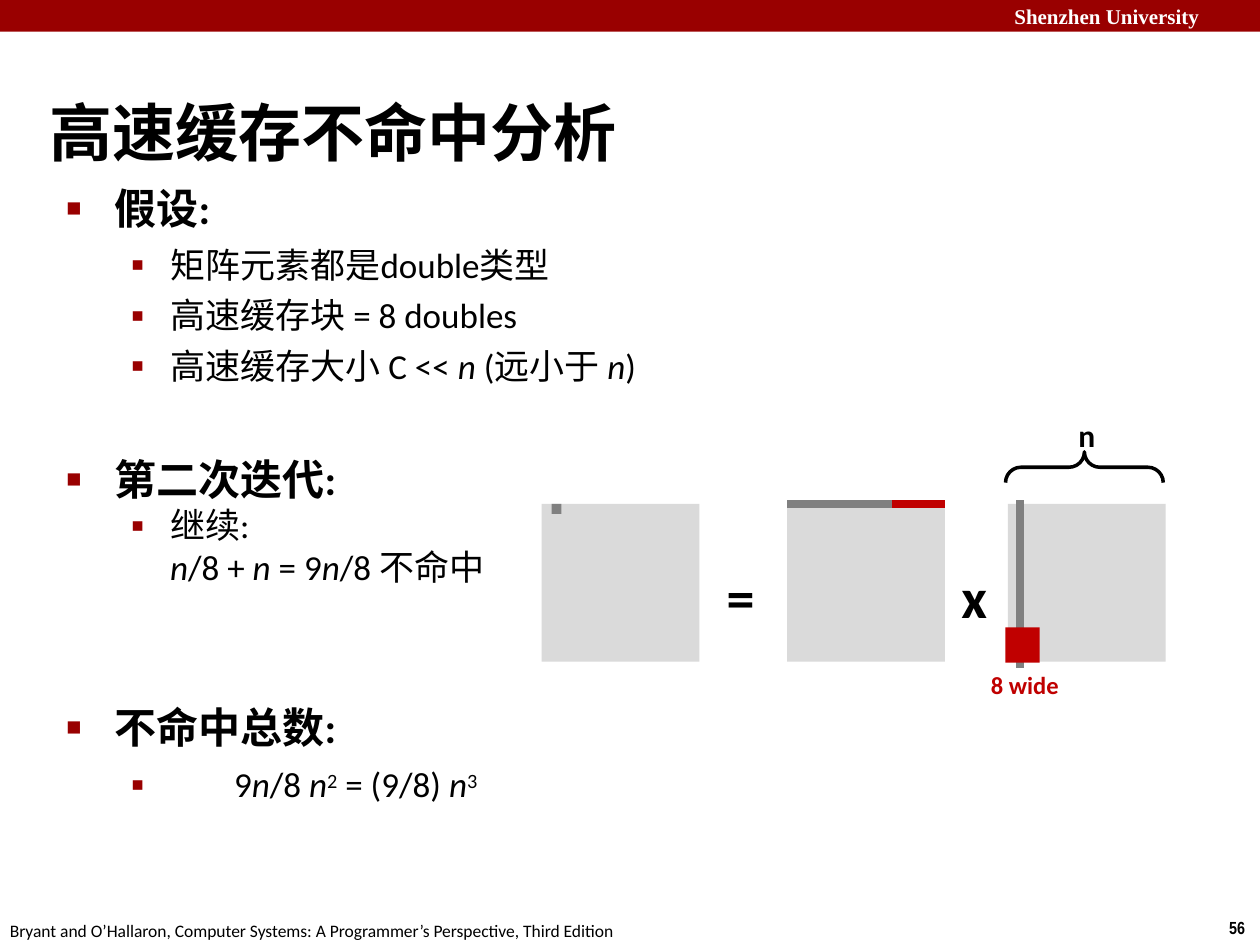
from dataclasses import dataclass

from lxml.etree import SubElement
from pptx import Presentation
from pptx.dml.color import RGBColor
from pptx.enum.shapes import MSO_CONNECTOR, MSO_SHAPE
from pptx.enum.text import MSO_ANCHOR, PP_ALIGN
from pptx.oxml.ns import qn
from pptx.util import Cm, Pt


@dataclass(frozen=True)
class Theme:
    font: str = "Calibri"
    black: str = "000000"
    white: str = "FFFFFF"
    crimson: str = "990000"
    red: str = "C00000"
    gray: str = "808080"
    light: str = "DADADA"
    title: int = 36
    operator: int = 32
    heading: int = 24
    body: int = 20
    label: int = 18
    note: int = 14
    header: int = 12
    footer: int = 10


THEME = Theme()
SIDE = 3.18  # side of each matrix, in cm


def add_run(paragraph, text, size, bold=False, color=THEME.black, font=THEME.font, style=""):
    run = paragraph.add_run()
    run.text = text
    run.font.name = font
    run.font.size = Pt(size)
    run.font.bold = bold
    run.font.italic = style == "i"
    run.font.color.rgb = RGBColor.from_string(color)
    if style == "sup":
        run.font._element.set("baseline", "26000")


def add_box(slide, left, top, width, height, anchor=MSO_ANCHOR.TOP):
    frame = slide.shapes.add_textbox(Cm(left), Cm(top), Cm(width), Cm(height)).text_frame
    frame.word_wrap = True
    frame.vertical_anchor = anchor
    frame.margin_left = frame.margin_right = frame.margin_top = frame.margin_bottom = 0
    return frame


def add_label(slide, box, text, size, align=PP_ALIGN.LEFT, anchor=MSO_ANCHOR.TOP, **look):
    paragraph = add_box(slide, *box, anchor=anchor).paragraphs[0]
    paragraph.alignment = align
    add_run(paragraph, text, size, **look)


def add_block(slide, left, top, width, height, color):
    shape = slide.shapes.add_shape(MSO_SHAPE.RECTANGLE, Cm(left), Cm(top), Cm(width), Cm(height))
    shape.shadow.inherit = False
    shape.fill.solid()
    shape.fill.fore_color.rgb = RGBColor.from_string(color)
    shape.line.fill.background()


def add_line(slide, x1, y1, x2, y2, color):
    line = slide.shapes.add_connector(MSO_CONNECTOR.STRAIGHT, Cm(x1), Cm(y1), Cm(x2), Cm(y2))
    line.line.color.rgb = RGBColor.from_string(color)
    line.line.width = Pt(4.5)
    SubElement(line._element.spPr, qn("a:effectLst"))


def set_bullet(paragraph, margin, indent, char="", percent=100):
    properties = paragraph._p.get_or_add_pPr()
    properties.set("marL", str(Cm(margin)))
    properties.set("indent", str(Cm(indent)))
    if char:
        color = SubElement(properties, qn("a:buClr"))
        SubElement(color, qn("a:srgbClr"), val=THEME.crimson)
        SubElement(properties, qn("a:buSzPct"), val=str(percent * 1000))
        SubElement(properties, qn("a:buFont"), typeface="Arial")
        SubElement(properties, qn("a:buChar"), char=char)


def add_frame(slide, width, height):
    # Header band, page number and source line
    add_block(slide, 0, 0, width, 0.64, THEME.crimson)
    add_label(slide, (20.45, 0, width - 20.45, 0.64), "Shenzhen University", THEME.header,
              anchor=MSO_ANCHOR.MIDDLE, bold=True, color=THEME.white, font="Times New Roman")
    add_label(slide, (width - 0.62, height - 0.56, 0.6, 0.44), "56", THEME.footer,
              bold=True, font="Arial Narrow")
    add_label(slide, (0.2, height - 0.51, 14, 0.44),
              "Bryant and O’Hallaron, Computer Systems: A Programmer’s Perspective, Third Edition",
              THEME.footer)


def add_section(slide, left, top, width, height, heading, items, first_gap=6, margin=2.11, indent=-0.79):
    # A bold heading, then items given as (has bullet, runs)
    frame = add_box(slide, left, top, width, height)
    paragraph = frame.paragraphs[0]
    paragraph.line_spacing = Pt(28.8)
    set_bullet(paragraph, 0.99, -0.97, "■", 60)
    add_run(paragraph, heading, THEME.heading, bold=True)
    for index, (bulleted, runs) in enumerate(items):
        paragraph = frame.add_paragraph()
        gap = 4.8 if index else first_gap
        paragraph.space_before = Pt(gap if bulleted else 0)
        if bulleted:
            set_bullet(paragraph, margin, indent, "▪", 110)
        else:
            set_bullet(paragraph, margin, 0)
        for text, style in runs:
            add_run(paragraph, text, THEME.body, style=style)


def add_brace(slide, center_x, center_y, length, depth):
    shape = slide.shapes.add_shape(
        MSO_SHAPE.LEFT_BRACE, Cm(center_x - depth / 2), Cm(center_y - length / 2),
        Cm(depth), Cm(length))
    shape.rotation = 90
    shape.adjustments[0] = 0.5
    shape.shadow.inherit = False
    shape.fill.background()
    shape.line.color.rgb = RGBColor.from_string(THEME.black)
    shape.line.width = Pt(2)


def add_product(slide, left, top):
    # Three matrices: result = row matrix x column matrix
    row, column = left + 4.95, left + 9.4
    for matrix in (left, row, column):
        add_block(slide, matrix, top, SIDE, SIDE, THEME.light)
    for offset, text in ((3.73, "="), (8.46, "x")):
        add_label(slide, (left + offset, top + 1.18, 0.7, 1.2), text, THEME.operator, bold=True)

    # Result cell, row with its cached end, column with its cached block
    add_block(slide, left + 0.2, top, 0.2, 0.2, THEME.gray)
    add_line(slide, row, top, row + SIDE, top, THEME.gray)
    add_line(slide, row + 2.12, top, row + SIDE, top, THEME.red)
    add_line(slide, column + 0.25, top - 0.08, column + 0.25, top + 3.3, THEME.gray)
    add_block(slide, column - 0.05, top + 2.49, 0.69, 0.71, THEME.red)

    # Dimension labels
    add_brace(slide, column + 1.54, top - 0.74, SIDE, 0.62)
    add_label(slide, (column, top - 1.78, SIDE, 0.77), "n", THEME.label, PP_ALIGN.CENTER, bold=True)
    add_label(slide, (column - 1.26, top + 3.35, 3.2, 0.6), "8 wide", THEME.note,
              PP_ALIGN.CENTER, bold=True, color=THEME.red)


def main():
    presentation = Presentation()
    presentation.slide_width, presentation.slide_height = Cm(25.4), Cm(19.05)
    slide = presentation.slides.add_slide(presentation.slide_layouts[6])

    add_frame(slide, 25.4, 19.05)
    add_label(slide, (1, 1.88, 21.08, 1.55), "高速缓存不命中分析", THEME.title,
              anchor=MSO_ANCHOR.MIDDLE, bold=True)

    add_section(slide, 1.32, 3.68, 20.75, 4.3, "假设:", [
        (True, [("矩阵元素都是double类型", "")]),
        (True, [("高速缓存块 = 8 doubles", "")]),
        (True, [("高速缓存大小 C << ", ""), ("n ", "i"), ("(远小于 ", ""), ("n", "i"), (")", "")]),
    ])
    add_section(slide, 1.32, 9.14, 9.2, 2.72, "第二次迭代:", [
        (True, [("继续:", "")]),
        (False, [("n", "i"), ("/8 + ", ""), ("n ", "i"), ("= 9", ""), ("n", "i"),
                 ("/8 不命中", "")]),
    ], first_gap=0)
    add_section(slide, 1.32, 14.15, 12, 2.13, "不命中总数:", [
        (True, [("9", ""), ("n", "i"), ("/8 ", ""), ("n", "i"), ("2", "sup"),
                (" = (9/8) ", ""), ("n", "i"), ("3", "sup")]),
    ], margin=3.4, indent=-2.08)

    add_product(slide, 10.92, 10.16)
    presentation.save("out.pptx")


if __name__ == "__main__":
    main()
